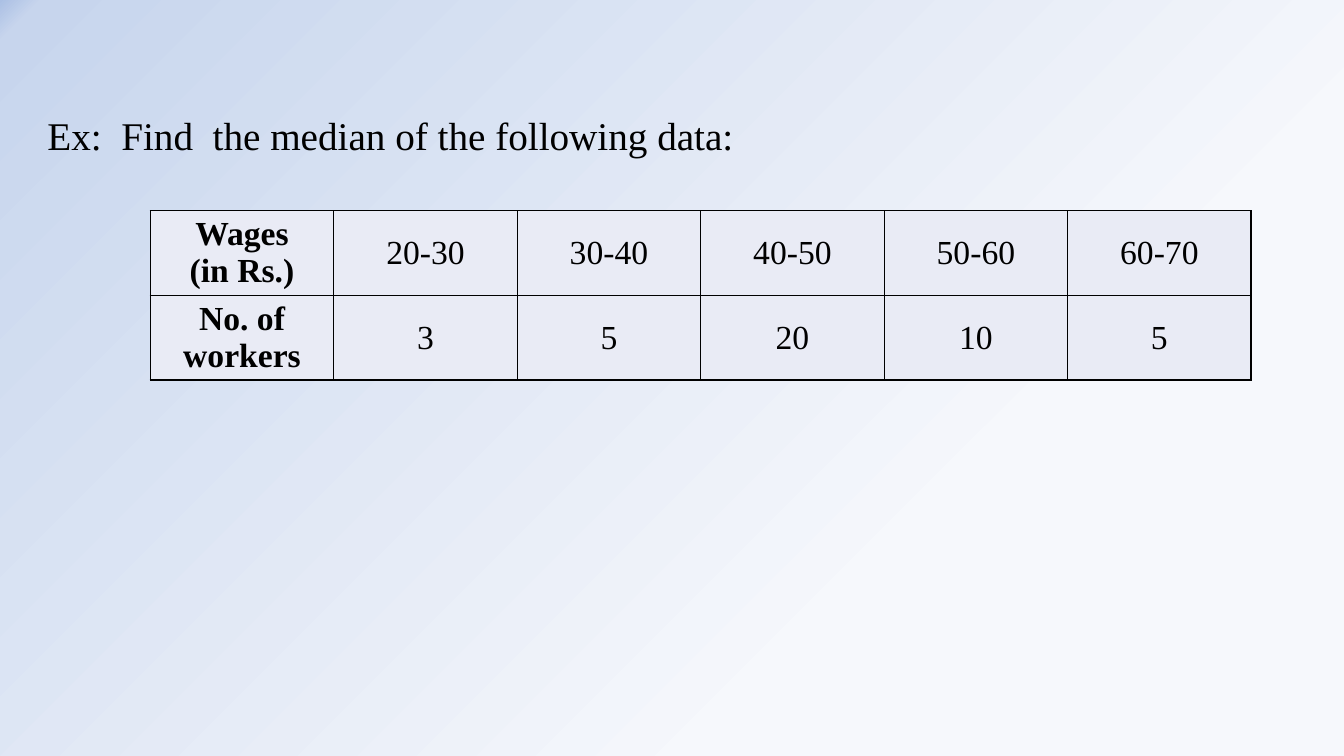
from lxml import etree
from pptx import Presentation
from pptx import util as u
from pptx.dml.color import RGBColor
from pptx.enum import text
from pptx.oxml import ns


def color(value):
    return RGBColor.from_string(value)


def add_element(parent, tag, **attributes):
    return etree.SubElement(parent, ns.qn(tag), attributes)


class SlideBuilder:
    font_name = "Times New Roman"
    ink = "000000"
    cell_fill = "E9EBF5"

    def __init__(self, deck):
        self.page = deck.slides.add_slide(deck.slide_layouts[5])

    def style(self, paragraph, size, align, bold=False):
        paragraph.alignment = align
        paragraph.font.name = self.font_name
        paragraph.font.size = u.Pt(size)
        paragraph.font.bold = bold
        paragraph.font.color.rgb = color(self.ink)

    def background(self, stops):
        self.page.background.fill.gradient()
        gradient = self.page.element.find(".//" + ns.qn("a:gradFill"))
        for child in list(gradient):
            gradient.remove(child)
        stop_list = add_element(gradient, "a:gsLst")
        for percent, value in stops:
            stop = add_element(stop_list, "a:gs", pos=str(percent * 1000))
            add_element(stop, "a:srgbClr", val=value)
        shade = add_element(gradient, "a:path", path="circle")
        add_element(shade, "a:fillToRect", l="100000", t="100000")

    def title(self, wording, left, top, width, height):
        box = self.page.shapes.title
        box.left, box.top = u.Inches(left), u.Inches(top)
        box.width, box.height = u.Inches(width), u.Inches(height)
        frame = box.text_frame
        frame.text = wording
        frame.word_wrap = True
        frame.auto_size = text.MSO_AUTO_SIZE.NONE
        frame.vertical_anchor = text.MSO_ANCHOR.MIDDLE
        paragraph = frame.paragraphs[0]
        paragraph.line_spacing = 0.9
        self.style(paragraph, 28, text.PP_ALIGN.LEFT)

    def borders(self, cell):
        properties = cell._tc.get_or_add_tcPr()
        for position, side in enumerate(("a:lnL", "a:lnR", "a:lnT", "a:lnB")):
            line = etree.Element(ns.qn(side), w=str(u.Pt(1)))
            fill = add_element(line, "a:solidFill")
            add_element(fill, "a:srgbClr", val=self.ink)
            properties.insert(position, line)

    def table(self, rows, left, top, column_width, row_height):
        count = len(rows[0])
        table = self.page.shapes.add_table(
            len(rows), count, u.Inches(left), u.Inches(top),
            u.Inches(column_width * count), u.Inches(row_height * len(rows))).table
        for row_index, row in enumerate(rows):
            for column_index, wording in enumerate(row):
                cell = table.cell(row_index, column_index)
                cell.text = wording
                cell.vertical_anchor = text.MSO_ANCHOR.MIDDLE
                cell.fill.solid()
                cell.fill.fore_color.rgb = color(self.cell_fill)
                self.borders(cell)
                for paragraph in cell.text_frame.paragraphs:
                    self.style(paragraph, 24, text.PP_ALIGN.CENTER, column_index == 0)


def main():
    deck = Presentation()
    deck.slide_width, deck.slide_height = u.Inches(13.33), u.Inches(7.5)
    slide = SlideBuilder(deck)
    slide.background([(30, "F6F8FC"), (98, "C7D5ED"), (100, "ABC0E4")])
    slide.title("Ex:  Find  the median of the following data:", 0.37, 1.07, 12.04, 0.6)
    slide.table([
        ["Wages\n(in Rs.)", "20-30", "30-40", "40-50", "50-60", "60-70"],
        ["No. of workers", "3", "5", "20", "10", "5"],
    ], 1.49, 2.09, 1.82, 0.84)
    deck.save("out.pptx")


if __name__ == "__main__":
    main()
